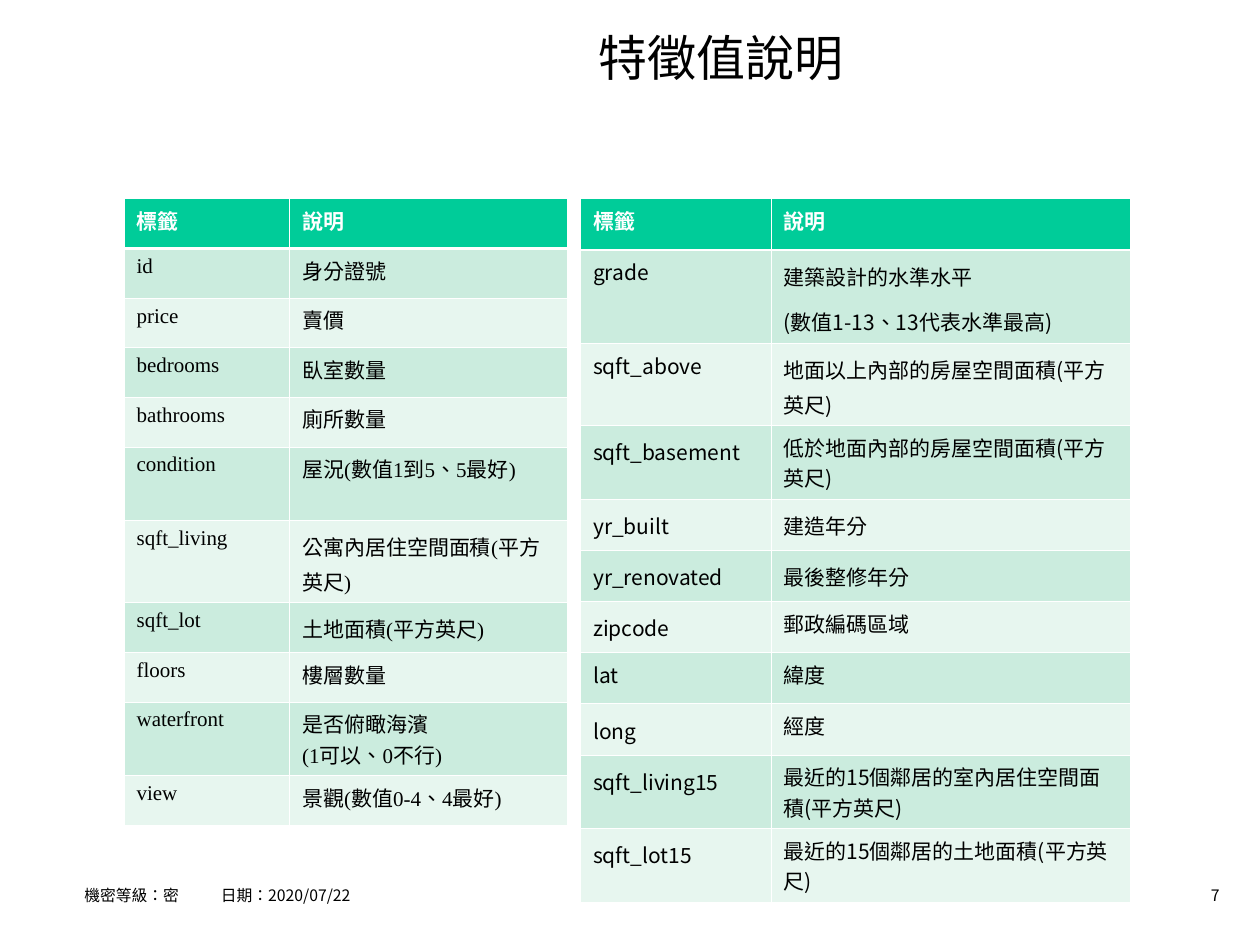
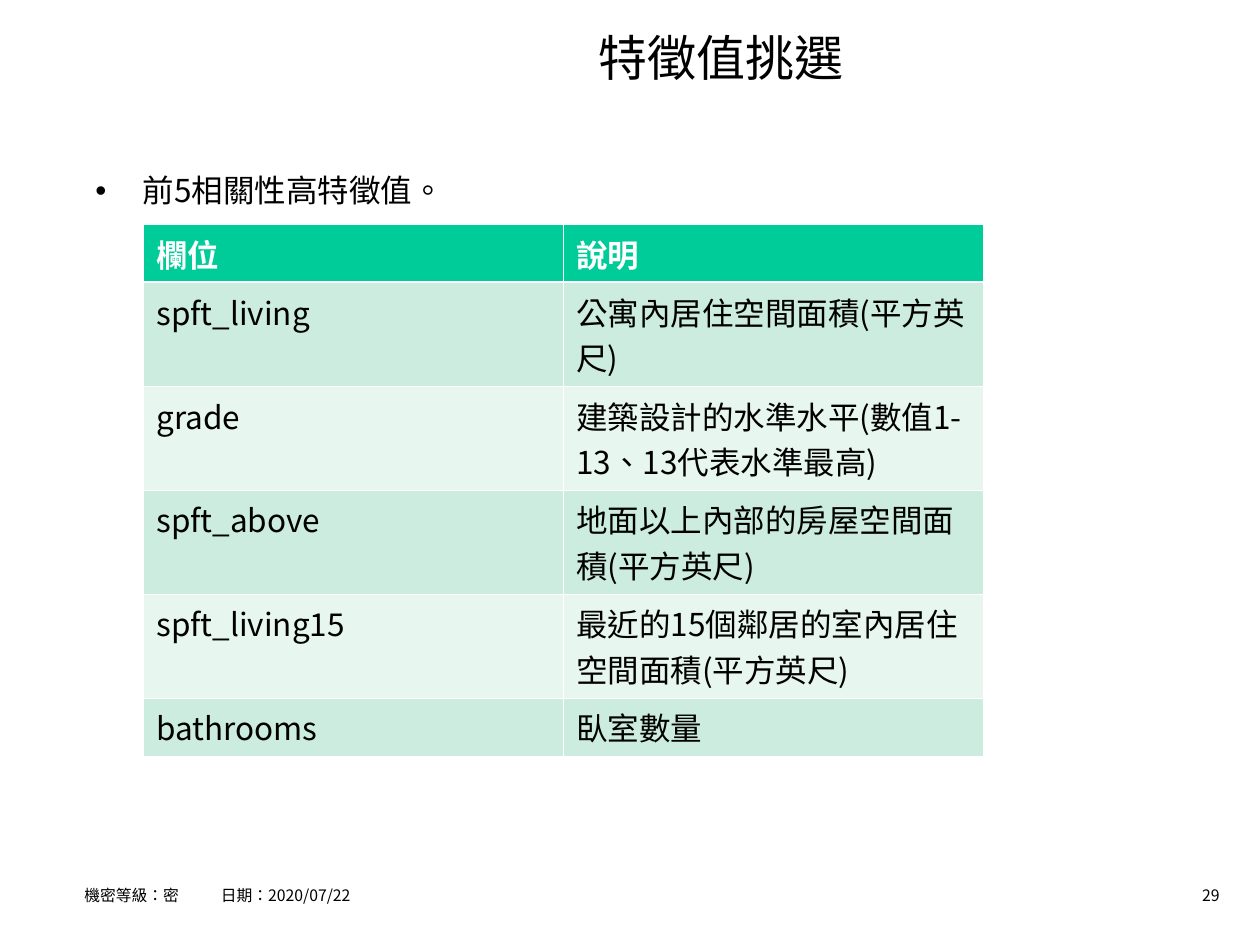
from dataclasses import dataclass

from lxml import etree
from pptx import Presentation
from pptx.dml.color import RGBColor
from pptx.enum import text
from pptx.oxml import ns
from pptx.util import Pt


@dataclass(frozen=True)
class Theme:
    sans: str = "Noto Sans CJK SC"
    serif: str = "Times New Roman"
    language: str = "zh-TW"
    ink: str = "000000"
    white: str = "FFFFFF"
    header: str = "00CC99"
    bands: tuple = ("CBECDE", "E7F6EF")
    title_size: int = 28
    body_size: int = 18
    table_size: int = 12
    footer_size: int = 9
    thin_line: float = 0.45
    thick_line: float = 1.47


THEME = Theme()
LEFT, CENTER, RIGHT = text.PP_ALIGN.LEFT, text.PP_ALIGN.CENTER, text.PP_ALIGN.RIGHT
TOP, MIDDLE = text.MSO_ANCHOR.TOP, text.MSO_ANCHOR.MIDDLE

# Row heights of the small tables, then of the large one
LEFT_ROW, RIGHT_ROW, TWO_LINES, LOOSE_LINES, TWO_PARAS = 28.35, 29.2, 42.1, 47, 53.5
LARGE_ROW, LARGE_TWO_LINES = 33.1, 59.4

# Rows: height, label, description, columns with looser line spacing
LEFT_FEATURES = [
    (LEFT_ROW, "標籤", "說明", ()),
    (LEFT_ROW, "id", "身分證號", ()),
    (LEFT_ROW, "price", "賣價", ()),
    (LEFT_ROW, "bedrooms", "臥室數量", ()),
    (LEFT_ROW, "bathrooms", "廁所數量", ()),
    (TWO_LINES, "condition", "屋況(數值1到5、5最好)", ()),
    (LOOSE_LINES, "sqft_living", "公寓內居住空間面積(平方英尺)", (1,)),
    (LEFT_ROW, "sqft_lot", "土地面積(平方英尺)", (1,)),
    (LEFT_ROW, "floors", "樓層數量", ()),
    (TWO_LINES, "waterfront", "是否俯瞰海濱\n(1可以、0不行)", ()),
    (LEFT_ROW, "view", "景觀(數值0-4、4最好)", ()),
]
RIGHT_FEATURES = [
    (RIGHT_ROW, "標籤", "說明", ()),
    (TWO_PARAS, "grade", "建築設計的水準水平\n(數值1-13、13代表水準最高)", (1,)),
    (LOOSE_LINES, "sqft_above", "地面以上內部的房屋空間面積(平方英尺)", (1,)),
    (TWO_LINES, "sqft_basement", "低於地面內部的房屋空間面積(平方英尺)", (0,)),
    (RIGHT_ROW, "yr_built", "建造年分", (0, 1)),
    (RIGHT_ROW, "yr_renovated", "最後整修年分", (0, 1)),
    (RIGHT_ROW, "zipcode", "郵政編碼區域", (0,)),
    (RIGHT_ROW, "lat", "緯度", ()),
    (RIGHT_ROW, "long", "經度", (0,)),
    (TWO_LINES, "sqft_living15", "最近的15個鄰居的室內居住空間面積(平方英尺)", (0,)),
    (TWO_LINES, "sqft_lot15", "最近的15個鄰居的土地面積(平方英尺)", (0,)),
]
TOP_FEATURES = [
    (LARGE_ROW, "欄位", "說明", ()),
    (LARGE_TWO_LINES, "spft_living", "公寓內居住空間面積(平方英尺)", ()),
    (LARGE_TWO_LINES, "grade", "建築設計的水準水平(數值1-13、13代表水準最高)", ()),
    (LARGE_TWO_LINES, "spft_above", "地面以上內部的房屋空間面積(平方英尺)", ()),
    (LARGE_TWO_LINES, "spft_living15",
     "最近的15個鄰居的室內居住空間面積(平方英尺)", ()),
    (LARGE_ROW, "bathrooms", "臥室數量", ()),
]


# Text helpers
def add_child(parent, tag, **attributes):
    return etree.SubElement(parent, ns.qn(tag), attributes)


def style_para(para, size, color=THEME.ink, font=THEME.sans, bold=False):
    for span in para.runs:
        span.font.size = Pt(size)
        span.font.name = font
        span.font.bold = bold
        span.font.color.rgb = RGBColor.from_string(color)
        properties = span.font._element
        properties.set("lang", THEME.language)
        add_child(properties, "a:ea", typeface=THEME.sans)


def add_text(page, place, content, size, align=LEFT, anchor=MIDDLE, left_inset=7.2):
    box = page.shapes.add_textbox(*map(Pt, place))
    frame = box.text_frame
    frame.word_wrap = True
    frame.vertical_anchor = anchor
    frame.margin_left = Pt(left_inset)
    frame.text = content
    para = frame.paragraphs[0]
    para.alignment = align
    style_para(para, size)
    return para


# Parts every page has
def add_page(deck, title, number):
    page = deck.slides.add_slide(deck.slide_layouts[6])
    add_text(page, (655, 502.5, 49, 18), str(number), THEME.footer_size, RIGHT)
    add_text(page, (166.3, 11.2, 491.8, 42.5), title, THEME.title_size, CENTER)
    footer = add_text(page, (48.2, 497.8, 534.2, 22.3),
                      "機密等級：密\t日期：2020/07/22", THEME.footer_size, left_inset=0)
    tabs = add_child(footer._p.get_or_add_pPr(), "a:tabLst")
    add_child(tabs, "a:tab", pos=str(Pt(78)), algn="l")
    footer.line_spacing = 1.5
    return page


def add_bullet(page, place, content):
    para = add_text(page, place, content, THEME.body_size, anchor=TOP)
    properties = para._p.get_or_add_pPr()
    properties.set("marL", str(Pt(27)))
    properties.set("indent", str(-Pt(27)))
    add_child(properties, "a:buFont", typeface="Arial")
    add_child(properties, "a:buChar", char="•")


# Tables
def set_borders(cell, row):
    thick_sides = {0: "B", 1: "T"}
    for side in "LRTB":
        thick = thick_sides.get(row) == side
        width = THEME.thick_line if thick else THEME.thin_line
        line = add_child(cell._tc.get_or_add_tcPr(), f"a:ln{side}", w=str(Pt(width)))
        add_child(add_child(line, "a:solidFill"), "a:srgbClr", val=THEME.white)


def fill_cell(cell, row, content, size, font, loose):
    is_header = row == 0
    set_borders(cell, row)
    cell.fill.solid()
    fill = THEME.header if is_header else THEME.bands[(row - 1) % 2]
    cell.fill.fore_color.rgb = RGBColor.from_string(fill)
    cell.text_frame.text = content
    for index, para in enumerate(cell.text_frame.paragraphs):
        style_para(para, size, THEME.white if is_header else THEME.ink, font, is_header)
        if loose:
            para.line_spacing = 1.15
            if index:
                para.space_before = Pt(6)


def add_feature_table(page, left, top, widths, rows, size, font=THEME.sans):
    height = sum(row[0] for row in rows)
    table = page.shapes.add_table(len(rows), len(widths), Pt(left), Pt(top),
                                  Pt(sum(widths)), Pt(height)).table
    for column, width in zip(table.columns, widths):
        column.width = Pt(width)
    for r, (row_height, *contents, loose_columns) in enumerate(rows):
        table.rows[r].height = Pt(row_height)
        for c, content in enumerate(contents):
            fill_cell(table.cell(r, c), r, content, size, font, c in loose_columns)


def main():
    deck = Presentation()
    deck.slide_width, deck.slide_height = Pt(720), Pt(540)

    # All features
    page = add_page(deck, "特徵值說明", 7)
    add_feature_table(page, 70.9, 113.6, (94.6, 158.5), LEFT_FEATURES,
                      THEME.table_size, THEME.serif)
    add_feature_table(page, 331.7, 113.6, (108.9, 205.2), RIGHT_FEATURES,
                      THEME.table_size)

    # Most correlated features
    page = add_page(deck, "特徵值挑選", 29)
    add_bullet(page, (47.5, 94.3, 629.3, 402.5), "前5相關性高特徵值。")
    add_feature_table(page, 82.1, 128.2, (240, 240), TOP_FEATURES, THEME.body_size)

    deck.save("out.pptx")


if __name__ == "__main__":
    main()
